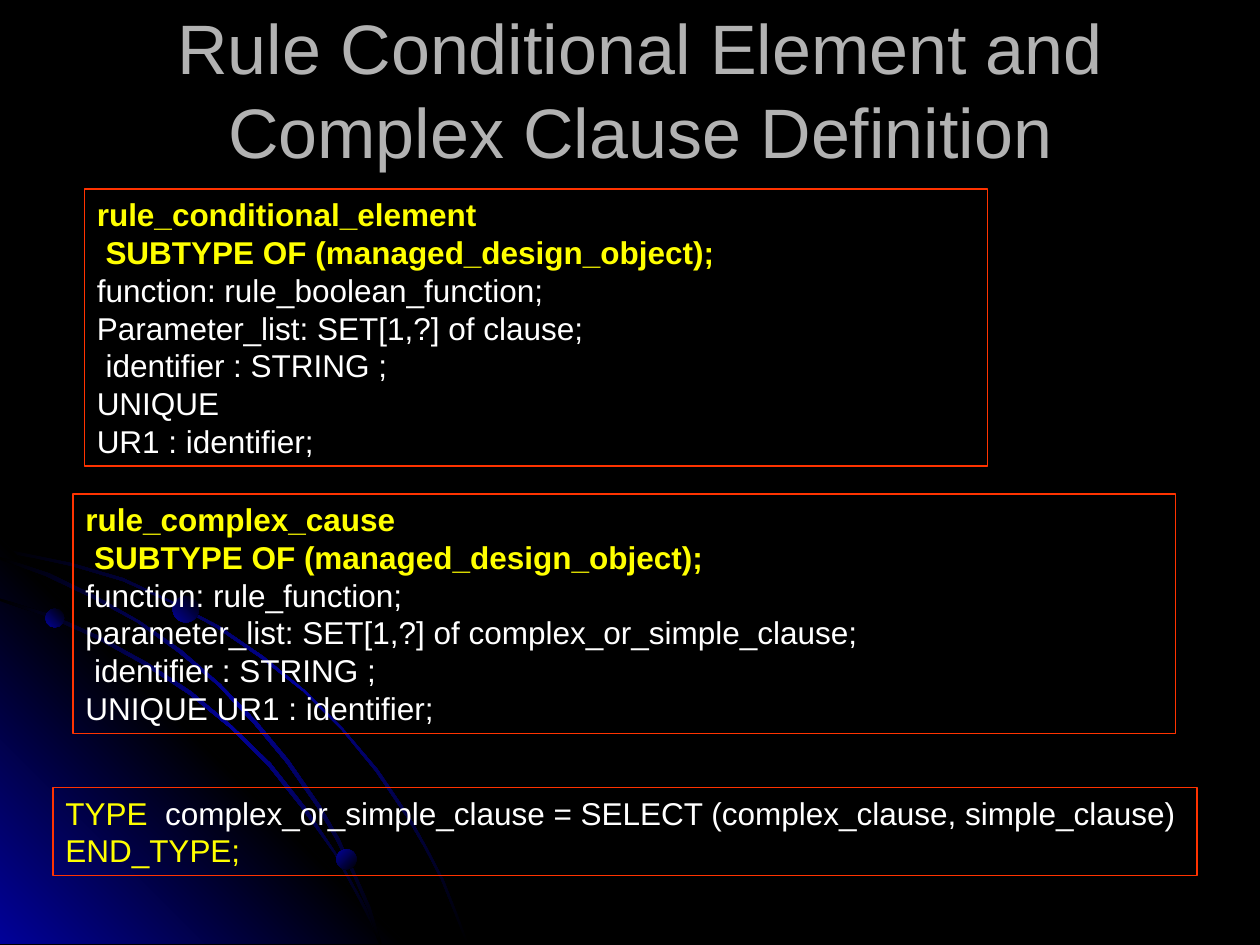
from pptx import Presentation
from pptx.dml.color import RGBColor
from pptx.enum.shapes import MSO_SHAPE
from pptx.enum.text import MSO_ANCHOR, MSO_AUTO_SIZE, PP_ALIGN
from pptx.oxml import parse_xml
from pptx.oxml.ns import nsdecls
from pptx.util import Pt

RECTANGLE, OVAL = MSO_SHAPE.RECTANGLE, MSO_SHAPE.OVAL
TOP, MIDDLE = MSO_ANCHOR.TOP, MSO_ANCHOR.MIDDLE
LEFT, CENTER = PP_ALIGN.LEFT, PP_ALIGN.CENTER
GROW = MSO_AUTO_SIZE.SHAPE_TO_FIT_TEXT

PX = 9144
COLORS = {"black": "000000", "blue": "010199", "border": "FF3300",
          "title": "B2B2B2", "keyword": "FFFF00", "code": "FFFFFF"}

KEYWORD = {"size": Pt(18), "name": "Arial", "bold": False, "color": "keyword"}
HEADING = {**KEYWORD, "bold": True}
CODE = {**KEYWORD, "color": "code"}
TITLE = {"size": Pt(40), "name": "Arial", "bold": False, "color": "title"}

ARC_GLOW = (("black", 0), ("blue", 50), ("black", 100))
CORNER_GLOW = (("blue", 0), ("black", 50), ("blue", 100))
PLANET_GLOW = (("black", 0), ("blue", 100))

ORBITS = [
    [(57, 47), (28, 41), (0, 35), (0, 38), (28, 43), (56, 49), (97, 61),
     (135, 78), (173, 99), (208, 123), (241, 149), (271, 179), (298, 212),
     (323, 249), (337, 273), (350, 298), (360, 323), (370, 349), (372, 349),
     (362, 323), (352, 298), (339, 273), (325, 248), (300, 211), (272, 178),
     (242, 148), (209, 121), (174, 97), (136, 77), (98, 59)],
    [(285, 314), (294, 332), (301, 349), (303, 349), (296, 330), (286, 312),
     (266, 276), (242, 240), (215, 206), (184, 176), (152, 149), (117, 126),
     (79, 105), (41, 88), (0, 75), (0, 77), (39, 90), (77, 107), (115, 128),
     (150, 151), (183, 178), (213, 208), (240, 242), (265, 277)],
    [(0, 42), (0, 44), (36, 57), (74, 75), (109, 94), (142, 118), (173, 144),
     (202, 175), (227, 205), (252, 241), (267, 267), (280, 294), (292, 322),
     (301, 349), (303, 349), (294, 320), (282, 293), (269, 265), (254, 239),
     (229, 203), (204, 173), (175, 143), (144, 116), (111, 93), (76, 73),
     (39, 55)],
]
CORNER = [(322, 349), (0, 349), (0, 27)]
PLANETS = [(36, 83, 15, 135), (267, 274, 16, 225), (137, 73, 21, 135)]

CONDITIONAL_ELEMENT = [
    [("rule_conditional_element", HEADING)],
    [(" SUBTYPE OF (managed_design_object);", HEADING)],
    [("function: rule_boolean_function;", CODE)],
    [("Parameter_list: SET[1,?] of clause;", CODE)],
    [(" identifier : STRING ;", CODE)],
    [("UNIQUE", CODE)],
    [("UR1 : identifier;", CODE)],
]
COMPLEX_CLAUSE = [
    [("rule_complex_cause", HEADING)],
    [(" SUBTYPE OF (managed_design_object);", HEADING)],
    [("function: rule_function;", CODE)],
    [("parameter_list: SET[1,?] of complex_or_simple_clause;", CODE)],
    [(" identifier : STRING ;", CODE)],
    [("UNIQUE UR1 : identifier;", CODE)],
]
SELECT_TYPE = [
    [("TYPE", KEYWORD),
     ("  complex_or_simple_clause = SELECT (complex_clause, simple_clause)", CODE)],
    [("END_TYPE;", KEYWORD)],
]


def rgb(color):
    """Return the named colour."""
    return RGBColor.from_string(COLORS[color])


def glow(shape, stops, angle):
    """Fill a borderless shape with a linear gradient."""
    shape.shadow.inherit = False
    shape.line.fill.background()
    stop_list = "".join(
        f'<a:gs pos="{position * 1000}"><a:srgbClr val="{COLORS[color]}"/></a:gs>'
        for color, position in stops)
    shape._element.spPr.insert(2, parse_xml(
        f'<a:gradFill {nsdecls("a")} rotWithShape="1"><a:gsLst>{stop_list}</a:gsLst>'
        f'<a:lin ang="{angle * 60000}" scaled="0"/></a:gradFill>'))


def add_outline(slide, left, top, points):
    """Draw a closed polygon whose points are relative to left and top."""
    builder = slide.shapes.build_freeform(*points[0], scale=PX)
    builder.add_line_segments(points[1:], close=True)
    return builder.convert_to_shape(left * PX, top * PX)


def add_orbits(slide, left, top):
    """Draw the glowing corner with its orbits and planets."""
    first, *others = ORBITS
    outlines = [(first, ARC_GLOW, 225), (CORNER, CORNER_GLOW, 135)]
    outlines += [(orbit, ARC_GLOW, 225) for orbit in others]
    for points, stops, angle in outlines:
        glow(add_outline(slide, left, top, points), stops, angle)
    for x, y, size, angle in PLANETS:
        planet = slide.shapes.add_shape(
            OVAL, (left + x) * PX, (top + y) * PX, size * PX, size * PX)
        glow(planet, PLANET_GLOW, angle)


def write_lines(frame, lines, align):
    """Write one paragraph per line, each made of formatted runs."""
    for index, parts in enumerate(lines):
        paragraph = frame.add_paragraph() if index else frame.paragraphs[0]
        paragraph.alignment = align
        for text, style in parts:
            run = paragraph.add_run()
            run.text = text
            for attribute, value in style.items():
                if attribute == "color":
                    run.font.color.rgb = rgb(value)
                else:
                    setattr(run.font, attribute, value)


def add_title(slide, left, top, width, height):
    """Place the centred slide title."""
    title = slide.shapes.add_textbox(left * PX, top * PX, width * PX, height * PX)
    frame = title.text_frame
    frame.word_wrap = True
    frame.vertical_anchor = MIDDLE
    write_lines(
        frame, [[("Rule Conditional Element and Complex Clause Definition", TITLE)]], CENTER)


def add_definition(slide, left, top, width, height, lines):
    """Place a bordered box holding one schema definition."""
    definition = slide.shapes.add_shape(
        RECTANGLE, left * PX, top * PX, width * PX, height * PX)
    definition.shadow.inherit = False
    definition.fill.background()
    definition.line.color.rgb = rgb("border")
    definition.line.width = Pt(0.75)
    frame = definition.text_frame
    frame.word_wrap = True
    frame.auto_size = GROW
    frame.vertical_anchor = TOP
    write_lines(frame, lines, LEFT)


def main():
    """Build and save the slide."""
    presentation = Presentation()
    presentation.slide_width, presentation.slide_height = 1000 * PX, 750 * PX
    slide = presentation.slides.add_slide(presentation.slide_layouts[6])
    slide.background.fill.solid()
    slide.background.fill.fore_color.rgb = rgb("black")
    add_orbits(slide, 0, 400)
    add_definition(slide, 67, 150, 717, 220, CONDITIONAL_ELEMENT)
    add_title(slide, 58, 8, 900, 125)
    add_definition(slide, 58, 392, 875, 190, COMPLEX_CLAUSE)
    add_definition(slide, 42, 625, 908, 70, SELECT_TYPE)
    presentation.save("out.pptx")


if __name__ == "__main__":
    main()
